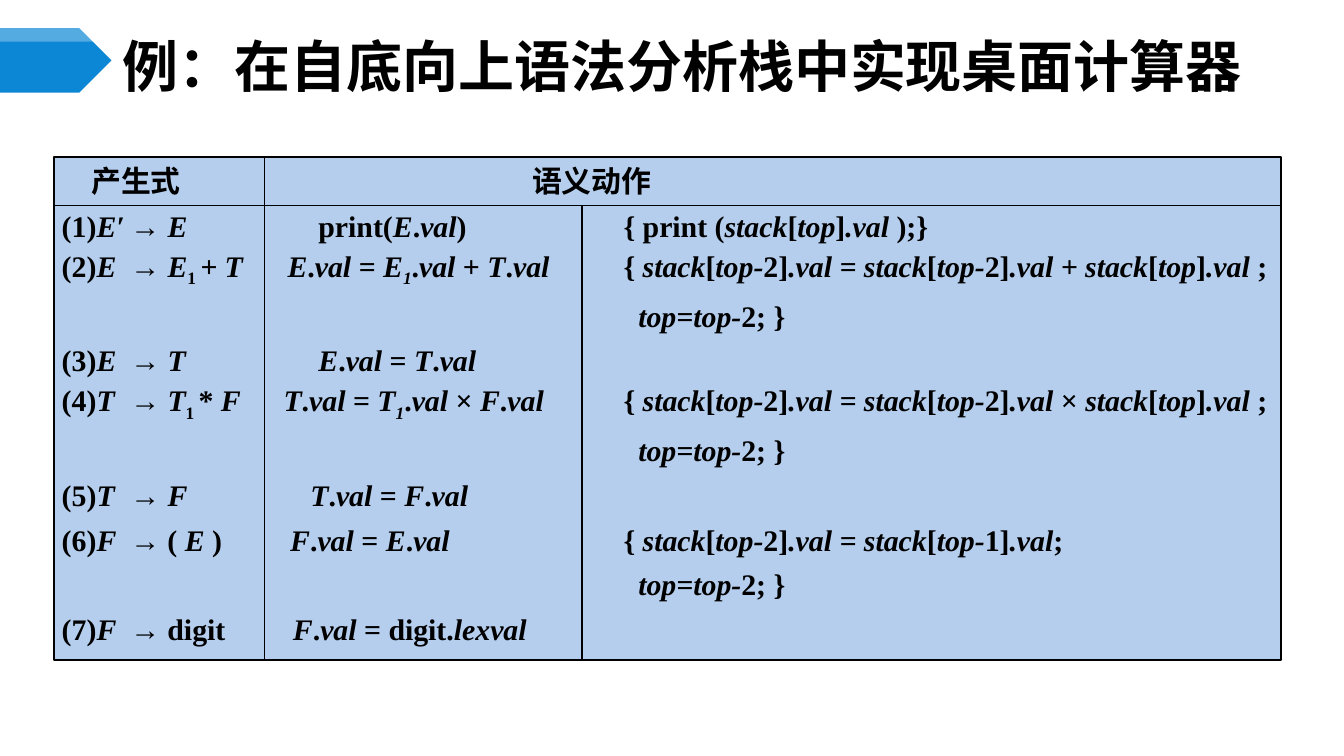
from dataclasses import dataclass

from lxml import etree
from pptx import Presentation
from pptx.dml.color import RGBColor
from pptx.enum.shapes import MSO_CONNECTOR, MSO_SHAPE
from pptx.enum.text import MSO_ANCHOR, PP_ALIGN
from pptx.oxml.ns import qn
from pptx.util import Emu, Inches, Pt

STRAIGHT = MSO_CONNECTOR.STRAIGHT
RECTANGLE = MSO_SHAPE.RECTANGLE
TOP, MIDDLE = MSO_ANCHOR.TOP, MSO_ANCHOR.MIDDLE
LEFT = PP_ALIGN.LEFT


@dataclass(frozen=True)
class Theme:
    """Colours, fonts and type sizes."""

    ink: RGBColor = RGBColor(0x00, 0x00, 0x00)
    panel: RGBColor = RGBColor(0xB5, 0xCE, 0xED)
    ribbon: RGBColor = RGBColor(0x0B, 0x87, 0xD6)
    sheen: RGBColor = RGBColor(0xFF, 0xFF, 0xFF)
    heading_font: str = "Noto Sans CJK SC"
    body_font: str = "Times New Roman"
    title_size: float = 30
    body_size: float = 16


@dataclass(frozen=True)
class Grid:
    """Panel edges, column rules and tab stops in inches."""

    width: float = 10
    height: float = 10 * 9 / 16
    left: float = 0.4
    top: float = 1.17
    right: float = 9.53
    bottom: float = 4.91
    header: float = 1.53
    action: float = 1.97
    code: float = 4.33
    arrow_stop: float = 0.51
    code_stop: float = 4.18
    continuation_stop: float = 4.29


@dataclass(frozen=True)
class Rule:
    """One production, its action and stack code; bars toggle italics, carets subscripts."""

    left_side: str
    right_side: str
    action_stop: float
    action: str
    code: str = ""
    continued: bool = False


THEME = Theme()
GRID = Grid()
TITLE = "例：在自底向上语法分析栈中实现桌面计算器"
HEADERS = ((0.22, "产生式"), (3.5, "语义动作"))
POP = "|top=top-|2; }"
ASSIGN = "{ |stack|[|top-|2]|.val = stack|[|top-|"
RULES = (
    Rule("E′", "|E|", 1.91, "print(|E|.|val|)", "{ print (|stack|[|top|]|.val |);}"),
    Rule("E", "|E|^1 ^|+ T|", 1.68, "|E|.|val |=| E^1^|.|val |+ |T|.|val|",
         ASSIGN + "2]|.val + stack|[|top|]|.val |;", True),
    Rule("E", "|T|", 1.91, "|E|.|val |= |T|.|val|"),
    Rule("T", "|T|^1 ^* |F|", 1.65, "|T|.|val |= |T^1^|.|val |× |F|.|val|",
         ASSIGN + "2]|.val |× |stack|[|top|]|.val |;", True),
    Rule("T", "|F|", 1.85, "|T|.|val |= |F|.|val|"),
    Rule("F", "( |E| )", 1.7, "|F|.|val |= |E|.|val|", ASSIGN + "1]|.val|;", True),
    Rule("F", "digit", 1.72, "|F|.|val |= digit.|lexval|"),
)


def add_run(paragraph, text: str, font: str, size: float,
            italic: bool = False, subscript: bool = False) -> None:
    """Append one bold run."""
    run = paragraph.add_run()
    run.text = text
    run.font.name, run.font.size = font, Pt(size)
    run.font.bold, run.font.italic = True, italic
    run.font.color.rgb = THEME.ink
    properties = run.font._element
    etree.SubElement(properties, qn("a:ea")).set("typeface", font)
    if subscript:
        properties.set("baseline", "-25000")


def add_marked_runs(paragraph, text: str) -> None:
    """Append runs, switching italics at bars and subscripts at carets."""
    for index, segment in enumerate(text.split("|")):
        for level, piece in enumerate(segment.split("^")):
            if piece:
                add_run(paragraph, piece, THEME.body_font, THEME.body_size,
                        index % 2 == 1, level % 2 == 1)


def format_line(paragraph, stops: list[float], space_before: float) -> None:
    """Set line height, spacing and left tab stops."""
    paragraph.alignment = LEFT
    paragraph.line_spacing = Pt(20)
    paragraph.space_before = Pt(space_before)
    tabs = etree.SubElement(paragraph._p.get_or_add_pPr(), qn("a:tabLst"))
    for stop in stops:
        etree.SubElement(tabs, qn("a:tab"), pos=str(Inches(stop)), algn="l")


def prepare_frame(frame, anchor: MSO_ANCHOR, horizontal: float, vertical: float) -> None:
    """Set wrapping, anchoring and insets."""
    frame.word_wrap, frame.vertical_anchor = True, anchor
    frame.margin_left = frame.margin_right = Inches(horizontal)
    frame.margin_top = frame.margin_bottom = Inches(vertical)


def add_arrow_band(slide, shoulder: float, tip: float, top: float,
                   bottom: float, color: RGBColor):
    """Draw a band from the left edge that ends in a point."""
    corners = [(shoulder, top), (tip, (top + bottom) / 2), (shoulder, bottom), (0, bottom)]
    builder = slide.shapes.build_freeform(0, Inches(top), scale=1)
    builder.add_line_segments([(Inches(x), Inches(y)) for x, y in corners], close=True)
    shape = builder.convert_to_shape()
    shape.shadow.inherit = False
    shape.fill.solid()
    shape.fill.fore_color.rgb = color
    shape.line.fill.background()
    return shape


def add_ribbon(slide) -> None:
    """Draw the title ribbon and its translucent sheen."""
    add_arrow_band(slide, 0.59, 0.83, 0.21, 0.69, THEME.ribbon)
    sheen = add_arrow_band(slide, 0.78, 0.83, 0.21, 0.31, THEME.sheen)
    color = sheen._element.spPr.find(qn("a:solidFill"))[0]
    etree.SubElement(color, qn("a:alpha"), val="30000")


def add_title(slide) -> None:
    """Write the slide title."""
    box = slide.shapes.add_textbox(Inches(0.83), Inches(0.29), Inches(8.67), Inches(0.39))
    prepare_frame(box.text_frame, MIDDLE, 0.08, 0.04)
    add_run(box.text_frame.paragraphs[0], TITLE, THEME.heading_font, THEME.title_size)


def add_panel(slide) -> None:
    """Draw the panel holding the headers and all rules."""
    panel = slide.shapes.add_shape(
        RECTANGLE, Inches(GRID.left), Inches(GRID.top),
        Inches(GRID.right - GRID.left), Inches(GRID.bottom - GRID.top))
    panel.shadow.inherit = False
    panel.fill.solid()
    panel.fill.fore_color.rgb = THEME.panel
    panel.line.color.rgb, panel.line.width = THEME.ink, Pt(1)
    frame = panel.text_frame
    prepare_frame(frame, TOP, 0.06, 0.03)
    header = frame.paragraphs[0]
    format_line(header, [stop for stop, _ in HEADERS], 0)
    for _, label in HEADERS:
        add_run(header, "\t" + label, THEME.heading_font, THEME.body_size)
    for number, rule in enumerate(RULES, 1):
        line = frame.add_paragraph()
        format_line(line, [GRID.arrow_stop, rule.action_stop, GRID.code_stop], 4)
        production = f"({number})|{rule.left_side}|\t→ {rule.right_side}"
        cells = [production, rule.action] + ([rule.code] if rule.code else [])
        add_marked_runs(line, "\t".join(cells))
        if rule.continued:
            line = frame.add_paragraph()
            format_line(line, [GRID.continuation_stop], 4)
            add_marked_runs(line, "\t" + POP)


def add_divider(slide, left: float, top: float, right: float, bottom: float) -> None:
    """Draw a thin divider."""
    ends: list[Emu] = [Inches(value) for value in (left, top, right, bottom)]
    divider = slide.shapes.add_connector(STRAIGHT, *ends)
    divider.line.color.rgb, divider.line.width = THEME.ink, Pt(0.75)
    etree.SubElement(divider._element.spPr, qn("a:effectLst"))


def main() -> None:
    """Build and save the slide."""
    presentation = Presentation()
    presentation.slide_width = Inches(GRID.width)
    presentation.slide_height = Inches(GRID.height)
    slide = presentation.slides.add_slide(presentation.slide_layouts[6])
    add_ribbon(slide)
    add_title(slide)
    add_panel(slide)
    add_divider(slide, GRID.left, GRID.header, GRID.right, GRID.header)
    add_divider(slide, GRID.action, GRID.top, GRID.action, GRID.bottom)
    add_divider(slide, GRID.code, GRID.header, GRID.code, GRID.bottom)
    presentation.save("out.pptx")


if __name__ == "__main__":
    main()
